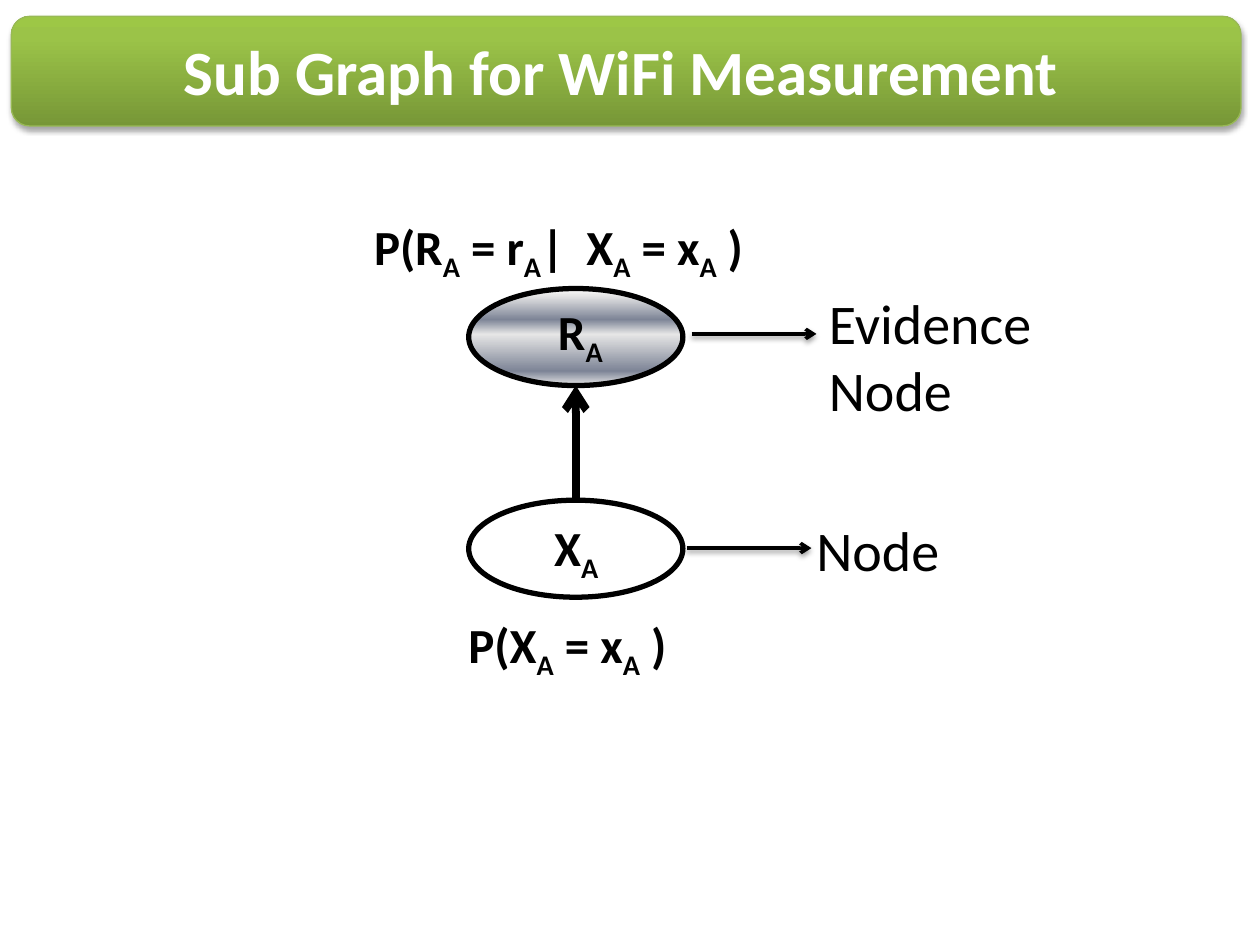
from dataclasses import dataclass
from typing import Optional

from lxml import etree
from pptx import Presentation
from pptx.dml.color import RGBColor
from pptx.enum.shapes import MSO_CONNECTOR, MSO_SHAPE
from pptx.enum.text import MSO_AUTO_SIZE
from pptx.oxml import parse_xml
from pptx.oxml.ns import nsdecls, qn
from pptx.util import Emu, Inches, Pt

ROUNDED = MSO_SHAPE.ROUNDED_RECTANGLE
OVAL = MSO_SHAPE.OVAL
STRAIGHT = MSO_CONNECTOR.STRAIGHT
FIT_TEXT = MSO_AUTO_SIZE.SHAPE_TO_FIT_TEXT

COLS, ROWS = 100, 75
UNIT = Inches(10) // COLS
FONT = "Calibri"
BLACK, WHITE = "000000", "FFFFFF"
NODE_X, NODE_W, NODE_H = 37.2, 17, 7.7
EVIDENCE_Y, STATE_Y = 22.9, 39.7
AXIS_X = 45.7
ARROW_LEN = 9.9


@dataclass(frozen=True)
class Gradient:
    stops: tuple[tuple[int, str], ...]
    angle: int


@dataclass(frozen=True)
class Shadow:
    alpha: int
    blur: float
    dist: float


@dataclass(frozen=True)
class Block:
    kind: int
    x: float
    y: float
    w: float
    h: float
    line: str
    weight: float
    gradient: Optional[Gradient] = None
    shadow: Optional[Shadow] = None


@dataclass(frozen=True)
class Label:
    x: float
    y: float
    w: float
    h: float
    runs: tuple[str, ...]
    size: int = 28
    color: str = BLACK
    bold: bool = True
    wrap: bool = False


@dataclass(frozen=True)
class Arrow:
    x1: float
    y1: float
    x2: float
    y2: float
    weight: float
    shadow: Optional[Shadow] = None


GREEN = Gradient(((0, "779737"), (80, "9BC348"), (100, "9DC746")), 270)
SILVER = Gradient(
    ((0, "FFFFFF"), (7, "E6E6E6"), (32, "7D8496"),
     (47, "E6E6E6"), (85, "7D8496"), (100, "E6E6E6")), 90)
SOFT = Shadow(38, 3.1, 1.6)

BANNER = Block(ROUNDED, 0.9, 1.3, 97.6, 8.7, "98B955", 0.75, GREEN,
               Shadow(35, 3.1, 1.8))
EVIDENCE = Block(OVAL, NODE_X, EVIDENCE_Y, NODE_W, NODE_H, BLACK, 3, SILVER)
STATE = Block(OVAL, NODE_X, STATE_Y, NODE_W, NODE_H, BLACK, 3)

ARROWS = (
    Arrow(AXIS_X, STATE_Y, AXIS_X, EVIDENCE_Y + NODE_H, 4.5),
    Arrow(54.5, 43.5, 54.5 + ARROW_LEN, 43.5, 2, SOFT),
    Arrow(54.9, 26.5, 54.9 + ARROW_LEN, 26.5, 2, SOFT),
)

LABELS = (
    Label(43.3, 23.4, 5.8, 5.7, ("R", "A")),
    Label(43, 40.6, 5.8, 5.7, ("X", "A")),
    Label(28.7, 16.7, 32.5, 5.7,
          ("P(R", "A", " = r", "A", "|  X", "A", " = x", "A", " )")),
    Label(36.2, 48.3, 18.3, 5.7, ("P(X", "A", " = x", "A", " )")),
    Label(13.6, 2.1, 72.1, 7.1, ("Sub Graph for WiFi Measurement",), 36, WHITE),
    Label(63.8, 40.4, 14.8, 6.4, ("Node",), 32, bold=False, wrap=True),
    Label(64.8, 22.4, 21.8, 11.8, ("Evidence Node",), 32, bold=False, wrap=True),
)


def grid(*values: float) -> list[Emu]:
    return [Emu(round(v * UNIT)) for v in values]


def rgb(color: str) -> RGBColor:
    return RGBColor.from_string(color)


def set_gradient(s, gradient: Gradient) -> None:
    stops = "".join(
        f'<a:gs pos="{pos * 1000}"><a:srgbClr val="{color}"/></a:gs>'
        for pos, color in gradient.stops)
    fill = parse_xml(
        f'<a:gradFill {nsdecls("a")} rotWithShape="1"><a:gsLst>{stops}</a:gsLst>'
        f'<a:lin ang="{gradient.angle * 60000}" scaled="0"/></a:gradFill>')
    props = s._element.spPr
    props.replace(props.find(qn("a:noFill")), fill)


def set_shadow(s, shadow: Optional[Shadow]) -> None:
    effects = etree.SubElement(s._element.spPr, qn("a:effectLst"))
    if shadow:
        effects.append(parse_xml(
            f'<a:outerShdw {nsdecls("a")} blurRad="{Pt(shadow.blur)}" '
            f'dist="{Pt(shadow.dist)}" dir="5400000" rotWithShape="0">'
            f'<a:srgbClr val="{BLACK}"><a:alpha val="{shadow.alpha * 1000}"/>'
            f'</a:srgbClr></a:outerShdw>'))


def set_line(s, color: str, weight: float) -> None:
    s.line.color.rgb = rgb(color)
    s.line.width = Pt(weight)


def draw_block(shapes, block: Block) -> None:
    s = shapes.add_shape(block.kind, *grid(block.x, block.y, block.w, block.h))
    s.fill.background()
    if block.gradient:
        set_gradient(s, block.gradient)
    set_line(s, block.line, block.weight)
    set_shadow(s, block.shadow)


def draw_arrow(shapes, arrow: Arrow) -> None:
    s = shapes.add_connector(
        STRAIGHT, *grid(arrow.x1, arrow.y1, arrow.x2, arrow.y2))
    set_line(s, BLACK, arrow.weight)
    etree.SubElement(s._element.spPr.find(qn("a:ln")), qn("a:tailEnd"), type="arrow")
    set_shadow(s, arrow.shadow)


def draw_label(shapes, label: Label) -> None:
    s = shapes.add_textbox(*grid(label.x, label.y, label.w, label.h))
    tf = s.text_frame
    tf.word_wrap = label.wrap
    tf.auto_size = FIT_TEXT
    p = tf.paragraphs[0]
    for i, text in enumerate(label.runs):
        r = p.add_run()
        r.text = text
        r.font.name = FONT
        r.font.size = Pt(label.size)
        r.font.bold = label.bold
        r.font.color.rgb = rgb(label.color)
        if i % 2:
            r.font._element.set("baseline", "-25000")


def main() -> None:
    prs = Presentation()
    prs.slide_width, prs.slide_height = grid(COLS, ROWS)
    shapes = prs.slides.add_slide(prs.slide_layouts[6]).shapes
    for block in (BANNER, EVIDENCE, STATE):
        draw_block(shapes, block)
    for arrow in ARROWS:
        draw_arrow(shapes, arrow)
    for label in LABELS:
        draw_label(shapes, label)
    prs.save("out.pptx")


if __name__ == "__main__":
    main()
